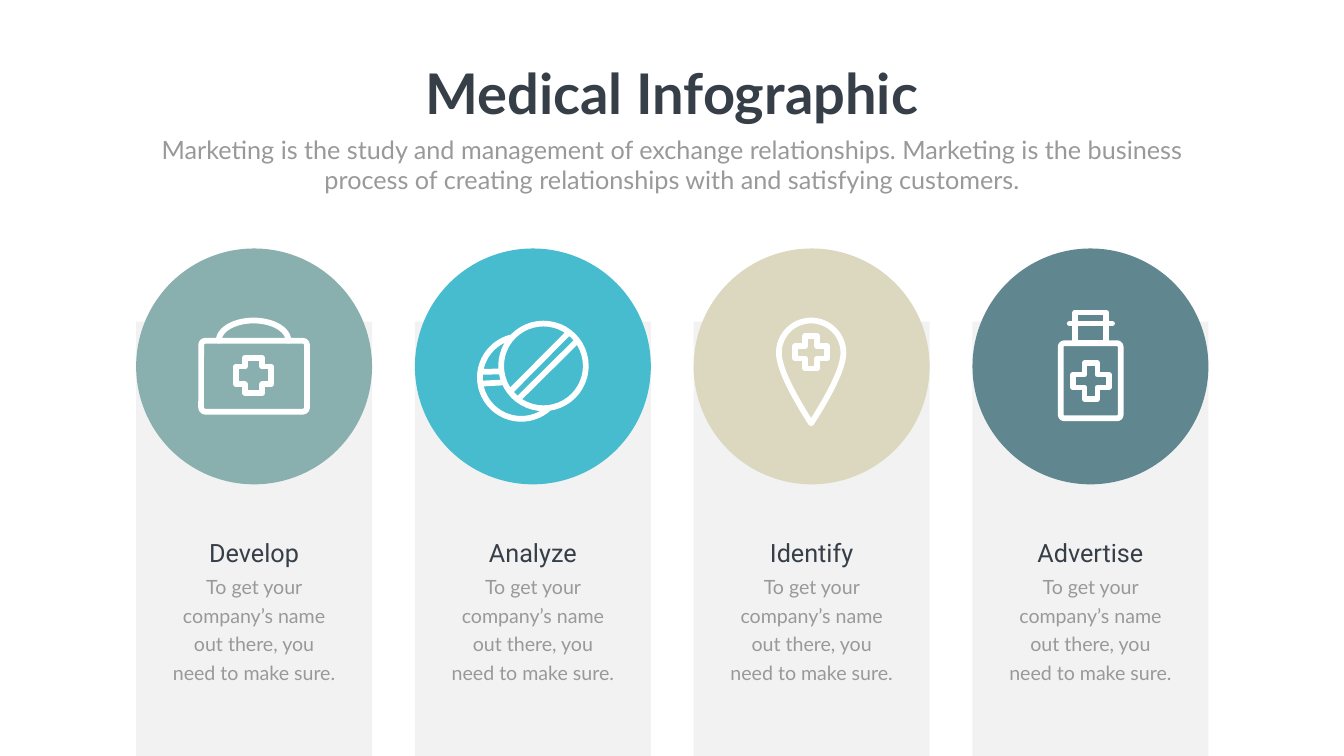
from dataclasses import dataclass
from math import cos, radians, sin

from pptx import Presentation
from pptx import util as u
from pptx.dml.color import RGBColor
from pptx.enum import shapes, text
from pptx.oxml import ns
from lxml import etree


@dataclass(frozen=True)
class Theme:
    dark: str = "363E48"
    grey: str = "999999"
    column: str = "808080"
    column_opacity: int = 10  # percent
    white: str = "FFFFFF"
    heading_font: str = "Lato"
    label_font: str = "Roboto"
    title_size: int = 80
    lead_size: int = 36
    label_size: int = 36
    text_size: int = 28
    text_leading: float = 40.8
    icon_line: float = 8.2


THEME = Theme()
CARD_TEXT = "To get your company’s name out there, you need to make sure."


def place(shape, left, top, width, height):
    shape.left, shape.top = u.Inches(left), u.Inches(top)
    shape.width, shape.height = u.Inches(width), u.Inches(height)


def write(shape, words, font, size, color, bold=False, leading=None, wrap=True):
    frame = shape.text_frame
    frame.word_wrap = wrap
    frame.auto_size = text.MSO_AUTO_SIZE.NONE
    frame.vertical_anchor = text.MSO_ANCHOR.TOP
    paragraph = frame.paragraphs[0]
    paragraph.alignment = text.PP_ALIGN.CENTER
    paragraph.space_before = u.Pt(0)
    paragraph.line_spacing = u.Pt(leading) if leading else 1.0
    run = paragraph.add_run()
    run.text = words
    run.font.name, run.font.size, run.font.bold = font, u.Pt(size), bold
    run.font.color.rgb = RGBColor.from_string(color)


def add_solid(slide, kind, box, color, opacity=100):
    shape = slide.shapes.add_shape(kind, *map(u.Inches, box))
    shape.shadow.inherit = False
    shape.fill.solid()
    shape.fill.fore_color.rgb = RGBColor.from_string(color)
    shape.line.fill.background()
    if opacity < 100:
        tint = shape._element.spPr.find(".//" + ns.qn("a:srgbClr"))
        etree.SubElement(tint, ns.qn("a:alpha"), val=str(opacity * 1000))
    return shape


def arc(center_x, center_y, radius_x, radius_y, start, end, step=5):
    """Points of an elliptical arc, clockwise from the right, in degrees."""
    return [(center_x + radius_x * cos(radians(angle)),
             center_y + radius_y * sin(radians(angle)))
            for angle in range(start, end + 1, step)]


def bezier(start, first, second, end, steps=16):
    points = []
    for index in range(steps + 1):
        t = index / steps
        weights = ((1 - t) ** 3, 3 * t * (1 - t) ** 2, 3 * t * t * (1 - t), t ** 3)
        points.append(tuple(sum(w * p[axis] for w, p in
                                zip(weights, (start, first, second, end)))
                            for axis in (0, 1)))
    return points


class Icon:
    """A group of white strokes, measured from the corner of a disc."""

    def __init__(self, slide, left, top):
        self.shapes = slide.shapes.add_group_shape().shapes
        self.left, self.top = left, top

    def spot(self, x, y):
        return u.Inches(self.left + x), u.Inches(self.top + y)

    def stroke(self, shape):
        shape.line.color.rgb = RGBColor.from_string(THEME.white)
        shape.line.width = u.Pt(THEME.icon_line)
        outline = shape._element.spPr.find(ns.qn("a:ln"))
        outline.set("cap", "rnd")
        etree.SubElement(outline, ns.qn("a:round"))

    def preset(self, kind, x, y, width, height, adjustment=None):
        shape = self.shapes.add_shape(
            kind, *self.spot(x, y), u.Inches(width), u.Inches(height))
        if adjustment is not None:
            shape.adjustments[0] = adjustment
        shape.shadow.inherit = False
        shape.fill.background()
        self.stroke(shape)

    def cross(self, center_x, center_y, size, adjustment):
        self.preset(shapes.MSO_SHAPE.CROSS, center_x - size / 2,
                    center_y - size / 2, size, size, adjustment)

    def line(self, start, end):
        connector = self.shapes.add_connector(
            shapes.MSO_CONNECTOR.STRAIGHT, *self.spot(*start), *self.spot(*end))
        self.stroke(connector)
        etree.SubElement(connector._element.spPr, ns.qn("a:effectLst"))

    def curve(self, points, close=False):
        spots = [self.spot(*point) for point in points]
        builder = self.shapes.build_freeform(*spots[0], scale=1.0)
        builder.add_line_segments(spots[1:], close=close)
        shape = builder.convert_to_shape()
        shape.shadow.inherit = False
        shape.fill.background()
        self.stroke(shape)


def draw_case(icon):
    icon.curve(arc(2.33, 1.83, 0.69, 0.4, 180, 360))
    icon.preset(shapes.MSO_SHAPE.ROUNDED_RECTANGLE, 1.29, 1.83, 2.1, 1.41, 0.06)
    icon.cross(2.33, 2.52, 0.7, 0.25)


def draw_pills(icon):
    icon.curve(arc(2.11, 2.56, 0.82, 0.82, 50, 255))
    icon.line((1.3, 2.45), (1.66, 2.44))
    icon.line((1.35, 2.68), (1.72, 2.66))
    icon.preset(shapes.MSO_SHAPE.OVAL, 1.71, 1.49, 1.68, 1.68)
    icon.line((1.92, 2.81), (3.02, 1.7))
    icon.line((2.08, 2.96), (3.18, 1.87))


def draw_pin(icon):
    x, y, radius, tip = 2.33, 2.07, 0.64, 1.4
    side = bezier((radius, 0), (radius, 0.25), (0.45, 0.7), (0, tip))
    right = [(x + dx, y + dy) for dx, dy in side[1:]]
    left = [(x - dx, y + dy) for dx, dy in reversed(side[1:-1])]
    icon.curve(arc(x, y, radius, radius, 180, 360) + right + left, close=True)
    icon.cross(x, 2.06, 0.64, 0.31)


def draw_bottle(icon):
    icon.preset(shapes.MSO_SHAPE.RECTANGLE, 2.04, 1.27, 0.61, 0.61)
    icon.line((1.93, 1.49), (2.77, 1.49))
    icon.preset(shapes.MSO_SHAPE.ROUNDED_RECTANGLE, 1.75, 1.88, 1.19, 1.49, 0.06)
    icon.cross(2.35, 2.63, 0.71, 0.32)


def add_header(slide, left, top, width):
    # Title and lead sentence
    place(slide.shapes.title, left, top, width, 1.45)
    write(slide.shapes.title, "Medical Infographic", THEME.heading_font,
          THEME.title_size, THEME.dark, bold=True)
    lead = slide.placeholders[1]
    place(lead, left, top + 1.49, width, 1.31)
    write(lead, "Marketing is the study and management of exchange relationships. "
          "Marketing is the business process of creating relationships with and "
          "satisfying customers.", THEME.heading_font, THEME.lead_size, THEME.grey)


def add_card(slide, left, top, width, height, label, color, draw_icon):
    # Pale column behind a coloured disc
    drop = 1.45
    add_solid(slide, shapes.MSO_SHAPE.RECTANGLE,
              (left, top + drop, width, height - drop),
              THEME.column, THEME.column_opacity)
    add_solid(slide, shapes.MSO_SHAPE.OVAL, (left, top, width, width), color)
    draw_icon(Icon(slide, left, top))

    # Label and text
    margin = 0.61
    box = left + margin, width - 2 * margin
    for words, offset, tall, font, size, ink, leading in (
            (label, 5.68, 0.71, THEME.label_font, THEME.label_size, THEME.dark, None),
            (CARD_TEXT, 6.33, 2.34, THEME.heading_font, THEME.text_size,
             THEME.grey, THEME.text_leading)):
        shape = slide.shapes.add_textbox(
            u.Inches(box[0]), u.Inches(top + offset), u.Inches(box[1]), u.Inches(tall))
        write(shape, words, font, size, ink, leading=leading)


def main():
    presentation = Presentation()
    presentation.slide_width, presentation.slide_height = u.Inches(26.66), u.Inches(15)
    slide = presentation.slides.add_slide(presentation.slide_layouts[0])
    add_header(slide, 2.92, 1.12, 20.82)
    cards = (("Develop", "89B0AE", draw_case), ("Analyze", "47BCCF", draw_pills),
             ("Identify", "DBD8BF", draw_pin), ("Advertise", "60878F", draw_bottle))
    left, top, width, pitch = 2.7, 4.93, 4.68, 5.53
    for index, card in enumerate(cards):
        add_card(slide, left + index * pitch, top, width, 15 - top, *card)
    presentation.save("out.pptx")


if __name__ == "__main__":
    main()
